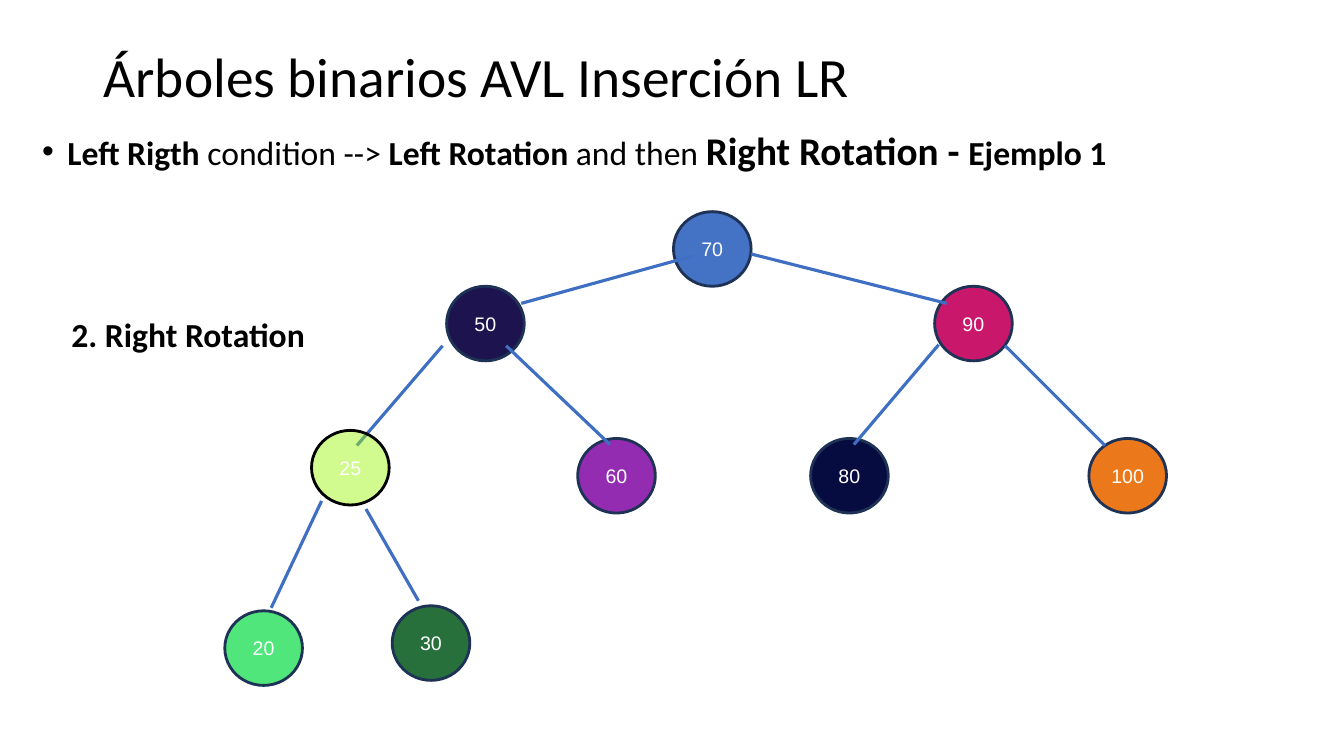
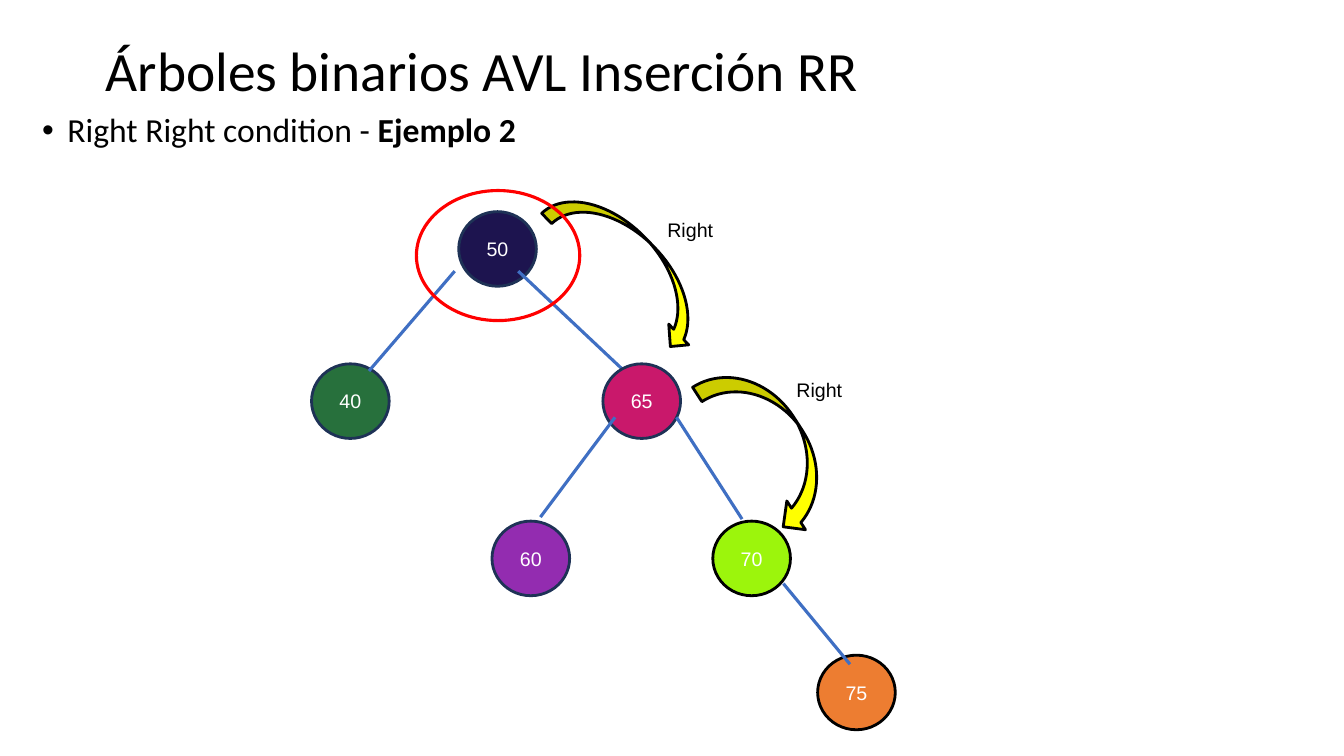
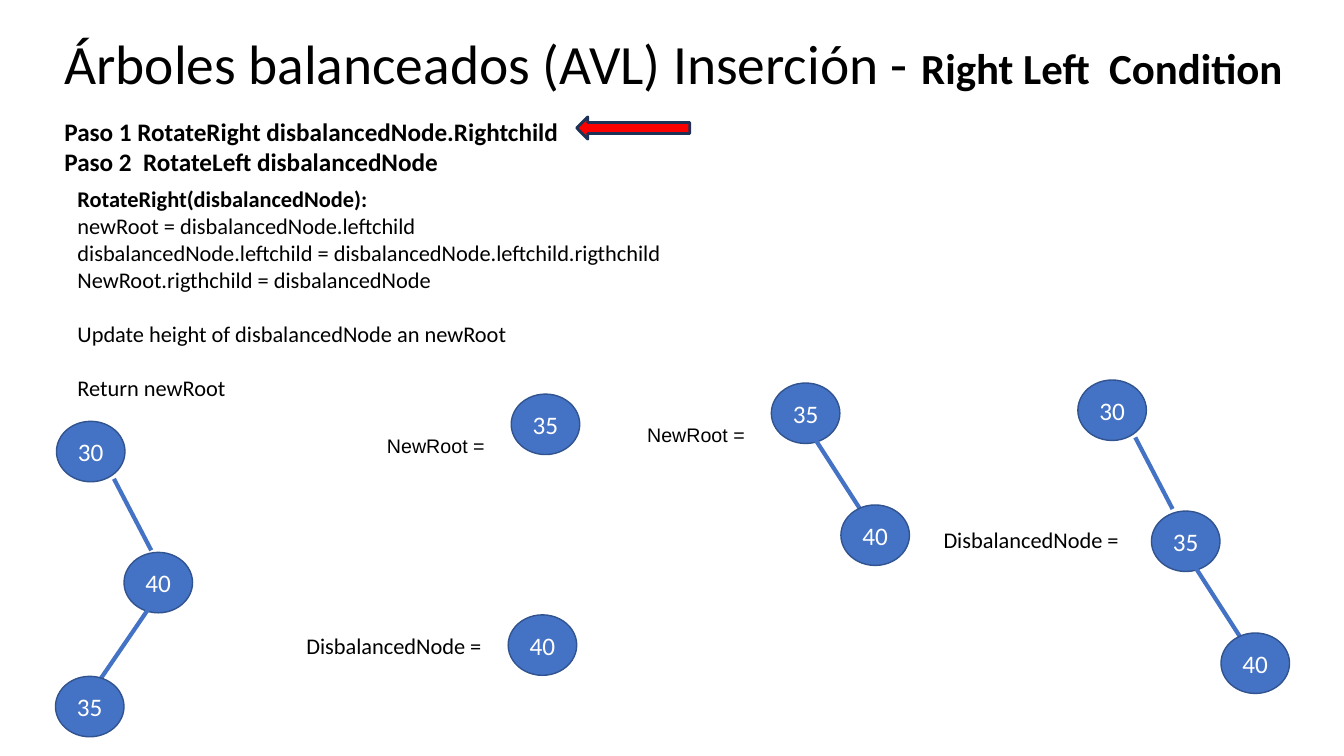
from lxml import etree
from pptx import Presentation
from pptx.dml.color import RGBColor
from pptx.enum.shapes import MSO_CONNECTOR, MSO_SHAPE
from pptx.enum.text import MSO_ANCHOR, PP_ALIGN
from pptx.oxml.ns import qn
from pptx.util import Inches, Pt

ELLIPSE = MSO_SHAPE.OVAL
CIRCLE = MSO_SHAPE.FLOWCHART_CONNECTOR
CURVED_ARROW = MSO_SHAPE.CURVED_LEFT_ARROW
LEFT_ARROW = MSO_SHAPE.LEFT_ARROW
STRAIGHT = MSO_CONNECTOR.STRAIGHT
TOP, MIDDLE = MSO_ANCHOR.TOP, MSO_ANCHOR.MIDDLE
LEFT, CENTER, JUSTIFY = PP_ALIGN.LEFT, PP_ALIGN.CENTER, PP_ALIGN.JUSTIFY

# Slide grid: square cells, 13.33 columns by 7.5 rows
SLIDE_WIDTH, SLIDE_HEIGHT = Inches(13.33), Inches(7.5)
COLUMN, ROW = SLIDE_WIDTH / 13.33, SLIDE_HEIGHT / 7.5

COLORS = {
    "black": "000000", "white": "FFFFFF", "red": "FF0000", "yellow": "FFFF00",
    "blue": "4472C4", "edge": "3F6FC3", "outline": "1E3256", "step_outline": "31538F",
    "navy": "1D144F", "midnight": "060B40", "pink": "C9186B", "purple": "932CB0",
    "forest": "27703C", "mint": "50E67B", "lime": "9CF50C", "amber": "EB781A",
    "orange": "ED7D31",
}

FONTS = {
    "title": {"name": "Calibri", "size": Pt(39.6), "bold": False},
    "subtitle": {"name": "Calibri", "size": Pt(24), "bold": False},
    "step": {"name": "Calibri", "size": Pt(18), "bold": True},
    "code": {"name": "Calibri", "size": Pt(16), "bold": False},
    "label": {"name": "Arial", "size": Pt(14), "bold": False},
    "tree_node": {"name": "Arial", "size": Pt(14), "bold": False},
    "step_node": {"name": "Calibri", "size": Pt(18), "bold": False},
}
BOLD = {"bold": True}
BLANK_LINE = {"space_before": Pt(19.5)}

TREE = {"font": "tree_node", "shape": CIRCLE, "size": (0.77, 0.74),
        "edge": ("edge", 2.25), "outline_width": 2}
STEP = {"font": "step_node", "shape": ELLIPSE, "size": (0.68, 0.6),
        "edge": ("blue", 3), "outline_width": 1}

# Each layer holds nodes (value, column, row, fill, outline) and the edges over them
LR_LAYERS = [
    ([("70", 6.68, 2.1, "blue", "outline"), ("90", 9.27, 2.84, "pink", "outline"),
      ("80", 8.04, 4.35, "midnight", "outline"), ("60", 5.73, 4.35, "purple", "outline"),
      ("30", 3.89, 6.01, "forest", "outline"), ("50", 4.43, 2.84, "navy", "outline"),
      ("100", 10.8, 4.35, "amber", "outline"), ("20", 2.23, 6.06, "mint", "outline")],
     [(6.87, 2.54, 5.17, 3.01), (7.45, 2.52, 9.39, 3.01),
      (4.39, 3.43, 3.54, 4.42), (5.02, 3.43, 6.05, 4.41),
      (9.31, 3.42, 8.47, 4.41), (9.97, 3.43, 10.96, 4.42),
      (3.19, 4.97, 2.69, 6.03), (3.63, 5.05, 4.15, 5.96)]),
    ([("25", 3.09, 4.27, "lime", "black")], []),
]
RR_LAYERS = [
    ([("60", 4.88, 5.17, "purple", "outline"), ("40", 3.09, 3.61, "forest", "outline"),
      ("50", 4.55, 2.1, "navy", "outline")],
     [(4.51, 2.69, 3.66, 3.68), (5.14, 2.69, 6.18, 3.67)]),
    ([("65", 5.98, 3.61, "pink", "outline"), ("70", 7.07, 5.17, "lime", "black"),
      ("75", 8.11, 6.5, "orange", "black")],
     [(6.71, 4.14, 7.36, 5.15), (6.1, 4.14, 5.36, 5.13), (7.77, 5.79, 8.43, 6.59)]),
]

# Chains of step nodes: the first node's place, then (value, step to it, edge to it),
# where steps and edges count from the parent node's corner
STEEP_EDGE = (0.57, 0.57, 0.94, 1.28)
WIDE_EDGE = (0.43, 0.55, 0.99, 1.42)
BACK_EDGE = (0.27, 0.52, -0.27, 1.31)
RIGHT_CHILD = ("40", (0.69, 1.21), WIDE_EDGE)
CHAINS = [
    ("30", 0.56, 4.18, [("40", (0.67, 1.3), STEEP_EDGE),
                        ("35", (-0.68, 1.23), BACK_EDGE)]),
    ("35", 5.07, 3.91, []),
    ("40", 5.04, 6.1, []),
    ("35", 7.65, 3.8, [RIGHT_CHILD]),
    ("30", 10.69, 3.77, [("35", (0.73, 1.3), STEEP_EDGE), RIGHT_CHILD]),
]


def color(name):
    return RGBColor.from_string(COLORS[name])


def place(*cells):
    """Turn alternating columns and rows into slide lengths."""
    return [round(cell * (ROW if index % 2 else COLUMN)) for index, cell in enumerate(cells)]


def set_all(target, values):
    for name, value in values.items():
        setattr(target, name, value)


def add_runs(paragraph, runs, font, font_color="black"):
    """Write runs given as (text, font changes)."""
    for text, changes in runs:
        run = paragraph.add_run()
        run.text = text
        set_all(run.font, {**FONTS[font], **changes})
        run.font.color.rgb = color(font_color)


def add_text(slide, box, font, paragraphs, anchor=TOP):
    """Add a text box; each paragraph is (runs, paragraph format)."""
    frame = slide.shapes.add_textbox(*place(*box)).text_frame
    set_all(frame, {"word_wrap": True, "vertical_anchor": anchor})
    for index, (runs, layout) in enumerate(paragraphs):
        paragraph = frame.add_paragraph() if index else frame.paragraphs[0]
        set_all(paragraph, {"alignment": LEFT, **layout})
        add_runs(paragraph, runs, font)
    return frame


def add_label(slide, box, font, text, changes={}):
    add_text(slide, box, font, [([(text, changes)], {})])


def add_title(slide, box, runs):
    add_text(slide, box, "title", [(runs, {"line_spacing": 0.9})], MIDDLE)


def add_bullet(slide, row, runs):
    frame = add_text(slide, (0.32, row, 11.58, 0.61), "subtitle",
                     [(runs, {"alignment": JUSTIFY, "line_spacing": 0.9})])
    properties = frame.paragraphs[0]._p.get_or_add_pPr()
    properties.set("marL", str(Inches(0.25)))
    properties.set("indent", str(-Inches(0.25)))
    etree.SubElement(properties, qn("a:buFont")).set("typeface", "Arial")
    etree.SubElement(properties, qn("a:buChar")).set("char", "•")


def add_figure(slide, kind, box, fill, outline, width, rotation=0):
    shape = slide.shapes.add_shape(kind, *place(*box))
    shape.shadow.inherit = False
    shape.rotation = rotation
    if fill:
        shape.fill.solid()
        shape.fill.fore_color.rgb = color(fill)
    else:
        shape.fill.background()
    shape.line.color.rgb = color(outline)
    shape.line.width = Pt(width)
    return shape


def add_node(slide, style, value, column, row, fill, outline):
    shape = add_figure(slide, style["shape"], (column, row, *style["size"]),
                       fill, outline, style["outline_width"])
    set_all(shape.text_frame, {"vertical_anchor": MIDDLE, "margin_left": 0, "margin_right": 0})
    paragraph = shape.text_frame.paragraphs[0]
    paragraph.alignment = CENTER
    add_runs(paragraph, [(value, {})], style["font"], "white")
    return shape


def add_edge(slide, style, ends):
    edge_color, width = style["edge"]
    connector = slide.shapes.add_connector(STRAIGHT, *place(*ends))
    connector.line.color.rgb = color(edge_color)
    connector.line.width = Pt(width)
    etree.SubElement(connector._element.spPr, qn("a:effectLst"))


def add_tree(slide, layers):
    """Draw the layers in order and return the last node."""
    for nodes, edges in layers:
        for node in nodes:
            shape = add_node(slide, TREE, *node)
        for ends in edges:
            add_edge(slide, TREE, ends)
    return shape


def add_chain(slide, value, column, row, children):
    add_node(slide, STEP, value, column, row, "blue", "step_outline")
    for child, (right, down), (x1, y1, x2, y2) in children:
        add_edge(slide, STEP, (column + x1, row + y1, column + x2, row + y2))
        column, row = column + right, row + down
        add_node(slide, STEP, child, column, row, "blue", "step_outline")


def set_opacity(shape, percent):
    fill_color = shape._element.spPr.find(qn("a:solidFill"))[0]
    etree.SubElement(fill_color, qn("a:alpha")).set("val", str(percent * 1000))


def build_left_right(slide):
    add_title(slide, (0.93, 0.48, 11.47, 0.62), [("Árboles binarios AVL Inserción LR", {})])
    add_bullet(slide, 1.26, [
        ("Left Rigth ", BOLD), ("condition --> ", {}), ("Left Rotation", BOLD),
        (" and then ", {}), ("Right Rotation - ", {"bold": True, "size": Pt(28)}),
        ("Ejemplo 1", BOLD)])
    new_node = add_tree(slide, LR_LAYERS)
    set_opacity(new_node, 46)
    add_label(slide, (0.61, 3.07, 2.72, 0.5), "subtitle", "2. Right Rotation", BOLD)


def build_right_right(slide):
    add_title(slide, (0.95, 0.42, 11.47, 0.62), [("Árboles binarios AVL Inserción RR", {})])
    add_bullet(slide, 1.08, [("Right Right condition - ", {}), ("Ejemplo 2", BOLD)])
    add_tree(slide, RR_LAYERS)
    # Path to the inserted node, and the unbalanced node
    for box, rotation in [((5.98, 1.64, 0.57, 1.98), 316), ((7.31, 3.51, 0.68, 1.82), 327)]:
        add_figure(slide, CURVED_ARROW, box, "yellow", "black", 2, rotation)
    for column, row in [(6.52, 2.11), (7.8, 3.7)]:
        add_label(slide, (column, row, 0.81, 0.34), "label", "Right")
    add_figure(slide, ELLIPSE, (4.13, 1.89, 1.62, 1.29), None, "red", 2.25)


def build_right_left(slide):
    add_title(slide, (0.54, 0.15, 12.62, 1.01), [
        ("Árboles balanceados (AVL) Inserción - ", {}),
        ("Right Left  Condition", {"bold": True, "size": Pt(30.6)})])
    # Steps and pseudocode
    add_text(slide, (0.54, 1.1, 6.64, 0.7), "step", [
        ([("Paso 1 RotateRight disbalancedNode.Rightchild", {})], {}),
        ([("Paso 2  RotateLeft disbalancedNode", {})], {})])
    add_figure(slide, LEFT_ARROW, (5.72, 1.16, 1.12, 0.22), "red", "outline", 2)
    add_text(slide, (0.67, 1.79, 6.64, 2.73), "code", [
        ([("RotateRight(disbalancedNode):", BOLD)], {}),
        ([("newRoot = disbalancedNode.leftchild", {})], {}),
        ([("disbalancedNode.leftchild = disbalancedNode.leftchild.rigthchild", {})], {}),
        ([("NewRoot.rigthchild = disbalancedNode", {})], {}),
        ([("Update height of disbalancedNode an newRoot", {})], BLANK_LINE),
        ([("Return newRoot", {})], BLANK_LINE)])
    # Trees before and after the step
    for chain in CHAINS:
        add_chain(slide, *chain)
    for column, row in [(3.74, 4.26), (6.32, 4.15)]:
        add_label(slide, (column, row, 1.67, 0.34), "label", "NewRoot =")
    for column, row in [(2.94, 6.22), (9.26, 5.17)]:
        add_label(slide, (column, row, 2.1, 0.37), "code", "DisbalancedNode =")


def main():
    presentation = Presentation()
    set_all(presentation, {"slide_width": SLIDE_WIDTH, "slide_height": SLIDE_HEIGHT})
    blank_layout = presentation.slide_layouts[6]
    for build in (build_left_right, build_right_right, build_right_left):
        build(presentation.slides.add_slide(blank_layout))
    presentation.save("out.pptx")


if __name__ == "__main__":
    main()
